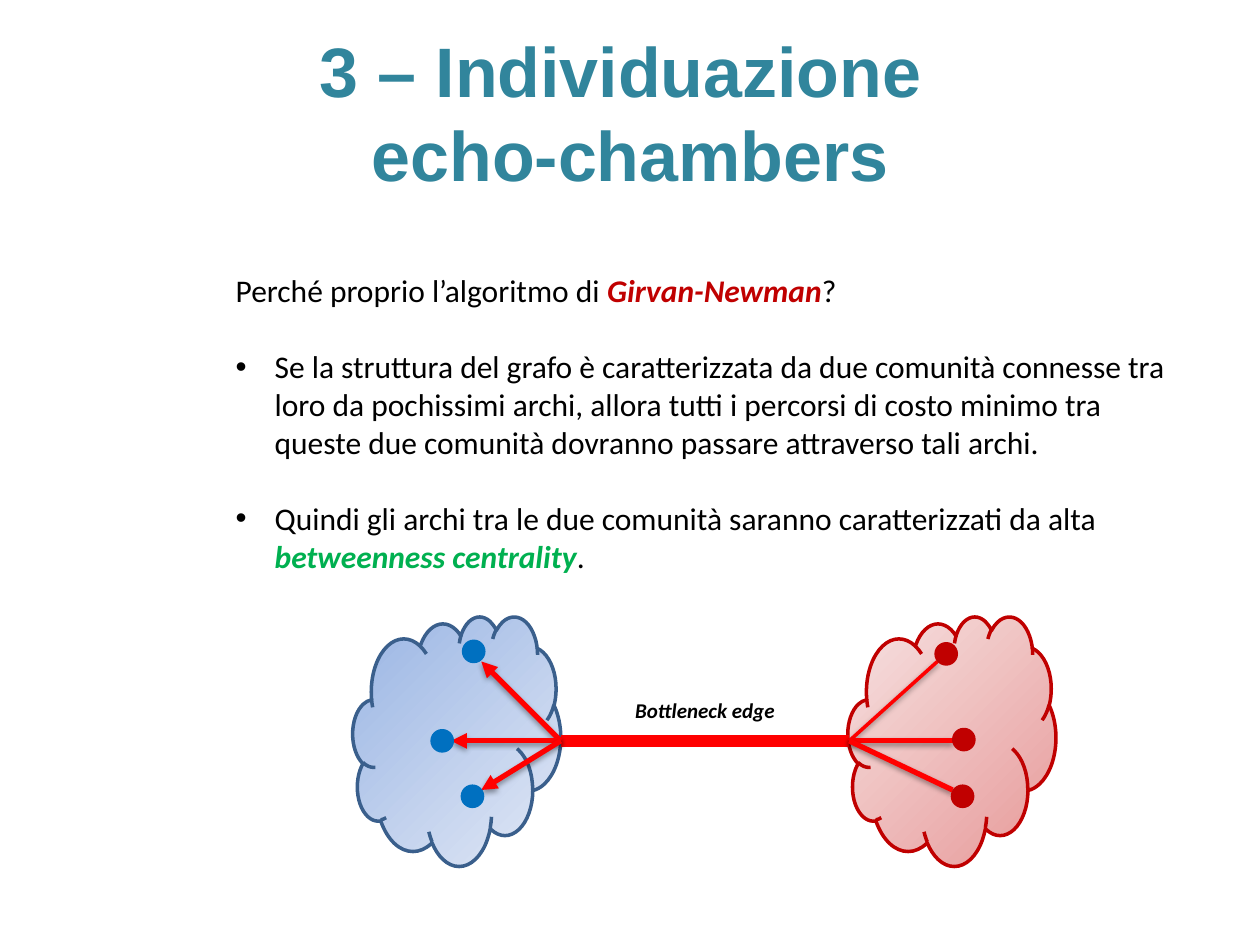
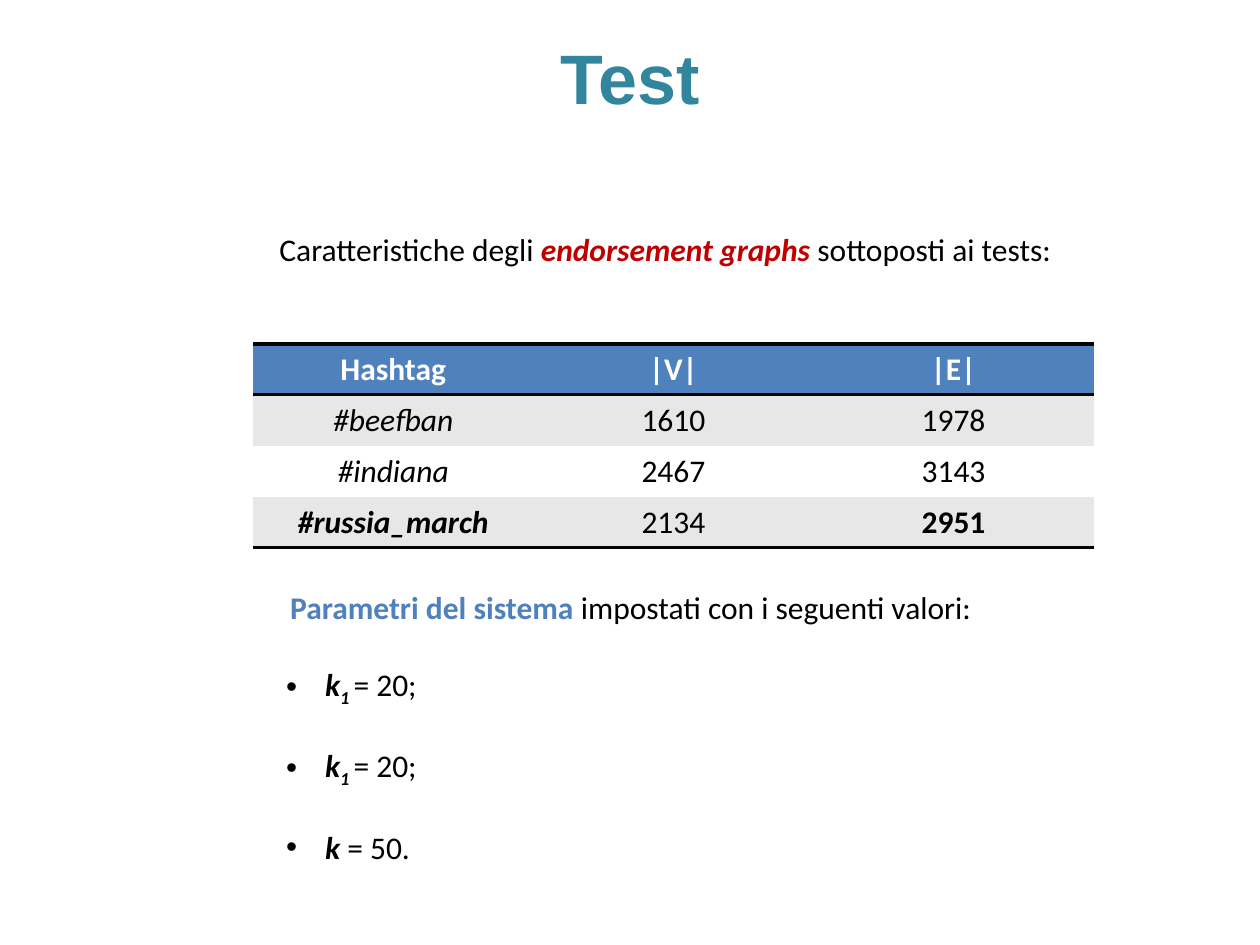
import pptx
import pptx.util
import pptx.dml.color
import pptx.enum.shapes
import pptx.enum.text
import pptx.oxml
from lxml import etree

Inches, Pt = pptx.util.Inches, pptx.util.Pt
MSO = pptx.enum.shapes.MSO_SHAPE
ALIGN = pptx.enum.text.PP_ALIGN
ANCHOR = pptx.enum.text.MSO_ANCHOR
NS = "http://schemas.openxmlformats.org/drawingml/2006/main"

TEAL, BLACK, WHITE, GREY = "31859C", "000000", "FFFFFF", "E7E7E7"
RED, DARK, GREEN = "FF0000", "C00000", "00B050"
BLUE, NAVY, HEAD = "0070C0", "3A5F8C", "4F81BD"
BASE = dict(name="Calibri", size=Pt(18), bold=False, italic=False)
STRONG = dict(bold=True, italic=True)


def tint(spot, hue):
    spot.rgb = pptx.dml.color.RGBColor.from_string(hue)


def put(para, runs):
    """Add (text, look) runs to a paragraph; each look overrides BASE."""
    for text, look in runs:
        run = para.add_run()
        run.text = text
        look = {**BASE, "hue": BLACK, **look}
        tint(run.font.color, look.pop("hue"))
        if "drop" in look:
            run._r.get_or_add_rPr().set("baseline", look.pop("drop"))
        for key, val in look.items():
            setattr(run.font, key, val)


deck = pptx.Presentation()
deck.slide_width, deck.slide_height = Inches(10), Inches(7.5)

# Titles and lists
k_one = [("k", STRONG), ("1 ", {**STRONG, "drop": "-25000"}), ("= 20;", {})]
pages = [
    ("3 – Individuazione \vecho-chambers", 0.3, (1.77, 2.1, 7.7, 2.83), ALIGN.LEFT, [
        [("Perché proprio l’algoritmo di ", {}),
         ("Girvan-Newman", {**STRONG, "hue": DARK}), ("?", {})],
        [("Se la struttura del grafo è caratterizzata da due comunità connesse tra "
          "loro da pochissimi archi, allora tutti i percorsi di costo minimo tra "
          "queste due comunità dovranno passare attraverso tali archi.", {})],
        [("Quindi gli archi tra le due comunità saranno caratterizzati da alta ", {}),
         ("betweenness centrality", {**STRONG, "hue": GREEN}), (".", {})],
    ]),
    ("Test", 0.02, (2.17, 4.62, 5.67, 2.7), ALIGN.CENTER, [
        [("Parametri del sistema ", {"bold": True, "hue": HEAD}),
         ("impostati con i seguenti valori:", {})],
        k_one,
        k_one,
        [("k", STRONG), (" = 50.", {})],
    ]),
]
for name, top, box, align, items in pages:
    slide = deck.slides.add_slide(deck.slide_layouts[1])
    title, body = slide.placeholders
    title.left, title.top, title.width, title.height = map(Inches, (0, top, 10, 1.17))
    title.text_frame.vertical_anchor = ANCHOR.MIDDLE
    para = title.text_frame.paragraphs[0]
    para.text = name
    para.alignment = ALIGN.CENTER
    para.line_spacing = Pt(48)
    for run in para.runs:
        for key, val in dict(name="Arial", size=Pt(40), bold=True).items():
            setattr(run.font, key, val)
        tint(run.font.color, TEAL)

    body.left, body.top, body.width, body.height = map(Inches, box)
    frame = body.text_frame
    frame.auto_size = pptx.enum.text.MSO_AUTO_SIZE.NONE
    for num, runs in enumerate(items):
        para = frame.add_paragraph() if num else frame.paragraphs[0]
        para.alignment = ALIGN.LEFT if num else align
        para.space_before = Pt(22 if num else 0)
        hang = Inches(0.31 if num else 0)
        prop = para._p.get_or_add_pPr()
        prop.set("marL", str(hang))
        prop.set("indent", str(-hang))
        if num:
            etree.SubElement(prop, f"{{{NS}}}buFont", typeface="Arial")
            etree.SubElement(prop, f"{{{NS}}}buChar", char="•")
        else:
            etree.SubElement(prop, f"{{{NS}}}buNone")
        put(para, runs)

graph, test = (slide.shapes for slide in deck.slides)

# Two communities joined by one edge
clouds = [(2.8, ("9AB5E4", "E1E8F5"), 315, NAVY),
          (6.73, ("E79A99", "F6E1E1"), 135, DARK)]
for left, hues, angle, edge in clouds:
    cloud = graph.add_shape(MSO.CLOUD, *map(Inches, (left, 4.89, 1.65, 1.98)))
    cloud.shadow.inherit = False
    cloud.fill.gradient()
    cloud.fill.gradient_angle = angle
    for stop, hue in zip(cloud.fill.gradient_stops, hues):
        tint(stop.color, hue)
    tint(cloud.line.color, edge)
    cloud.line.width = Pt(2)

west, east = (4.45, 5.88), (6.74, 5.88)
links = [(west, east, 7)]
links += [(west, end, 3) for end in ((3.82, 5.25), (3.58, 5.88), (3.82, 6.27))]
links += [(east, (7.44, 5.25), 2), (east, (7.56, 5.88), 3), (east, (7.56, 6.27), 3)]
for start, end, width in links:
    link = graph.add_connector(pptx.enum.shapes.MSO_CONNECTOR.STRAIGHT,
                               *map(Inches, start + end))
    tint(link.line.color, RED)
    link.line.width = Pt(width)
    if end == east:
        etree.SubElement(link._element.spPr, f"{{{NS}}}effectLst")
    elif start == west:
        etree.SubElement(link.line._get_or_add_ln(), f"{{{NS}}}tailEnd", type="triangle")

nodes = {BLUE: [(3.68, 5.09), (3.43, 5.8), (3.67, 6.24)],
         DARK: [(7.43, 5.11), (7.57, 5.79), (7.56, 6.24)]}
for hue, spots in nodes.items():
    for left, top in spots:
        node = graph.add_shape(MSO.FLOWCHART_CONNECTOR,
                               *map(Inches, (left, top, 0.16, 0.16)))
        node.shadow.inherit = False
        node.fill.solid()
        tint(node.fill.fore_color, hue)
        tint(node.line.color, hue)
        node.line.width = Pt(2)

# Single-line labels
labels = [
    (graph, (4.93, 5.49, 1.33, 0.3),
     [("Bottleneck edge", {**STRONG, "size": Pt(12)})]),
    (test, (2.1, 1.78, 6.36, 0.4),
     [("Caratteristiche degli ", {}),
      ("endorsement graphs ", {**STRONG, "hue": DARK}),
      ("sottoposti ai tests:", {})]),
]
for shapes, box, runs in labels:
    frame = shapes.add_textbox(*map(Inches, box)).text_frame
    frame.word_wrap = False
    para = frame.paragraphs[0]
    para.alignment = ALIGN.CENTER
    put(para, runs)

# Sizes of the endorsement graphs
rows = [("Hashtag", "|V|", "|E|"),
        ("#beefban", "1610", "1978"),
        ("#indiana", "2467", "3143"),
        ("#russia_march", "2134", "2951")]
bold = {"#russia_march", "2951", *rows[0]}
fills = [HEAD, GREY, WHITE, GREY]
rules = [("lnT", "lnB"), (), (), ("lnB",)]
table = test.add_table(4, 3, *map(Inches, (2.01, 2.73, 6.67, 1.62))).table
plain = "{2D5ABB26-0587-4C30-8999-92F81FD0307C}"
table._tbl.tblPr.find(f"{{{NS}}}tableStyleId").text = plain
for r, row in enumerate(rows):
    for c, text in enumerate(row):
        cell = table.cell(r, c)
        for side in rules[r]:
            cell._tc.get_or_add_tcPr().append(pptx.oxml.parse_xml(
                f'<a:{side} xmlns:a="{NS}" w="{Pt(2)}"><a:solidFill>'
                f'<a:srgbClr val="{BLACK}"/></a:solidFill></a:{side}>'))
        cell.fill.solid()
        tint(cell.fill.fore_color, fills[r])
        para = cell.text_frame.paragraphs[0]
        para.alignment = ALIGN.CENTER
        put(para, [(text, dict(bold=text in bold, italic=text.startswith("#"),
                               hue=BLACK if r else WHITE))])

deck.save("out.pptx")
